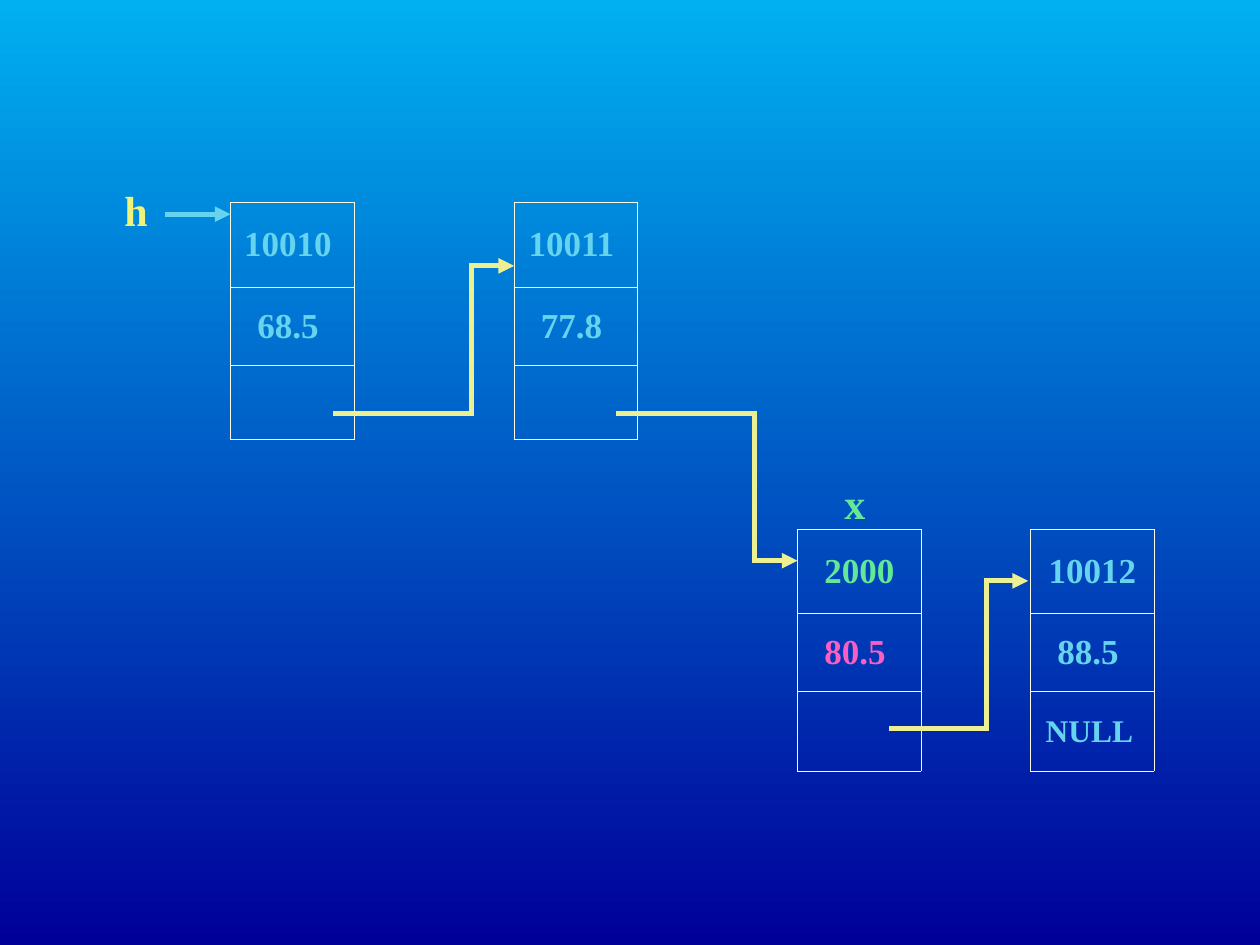
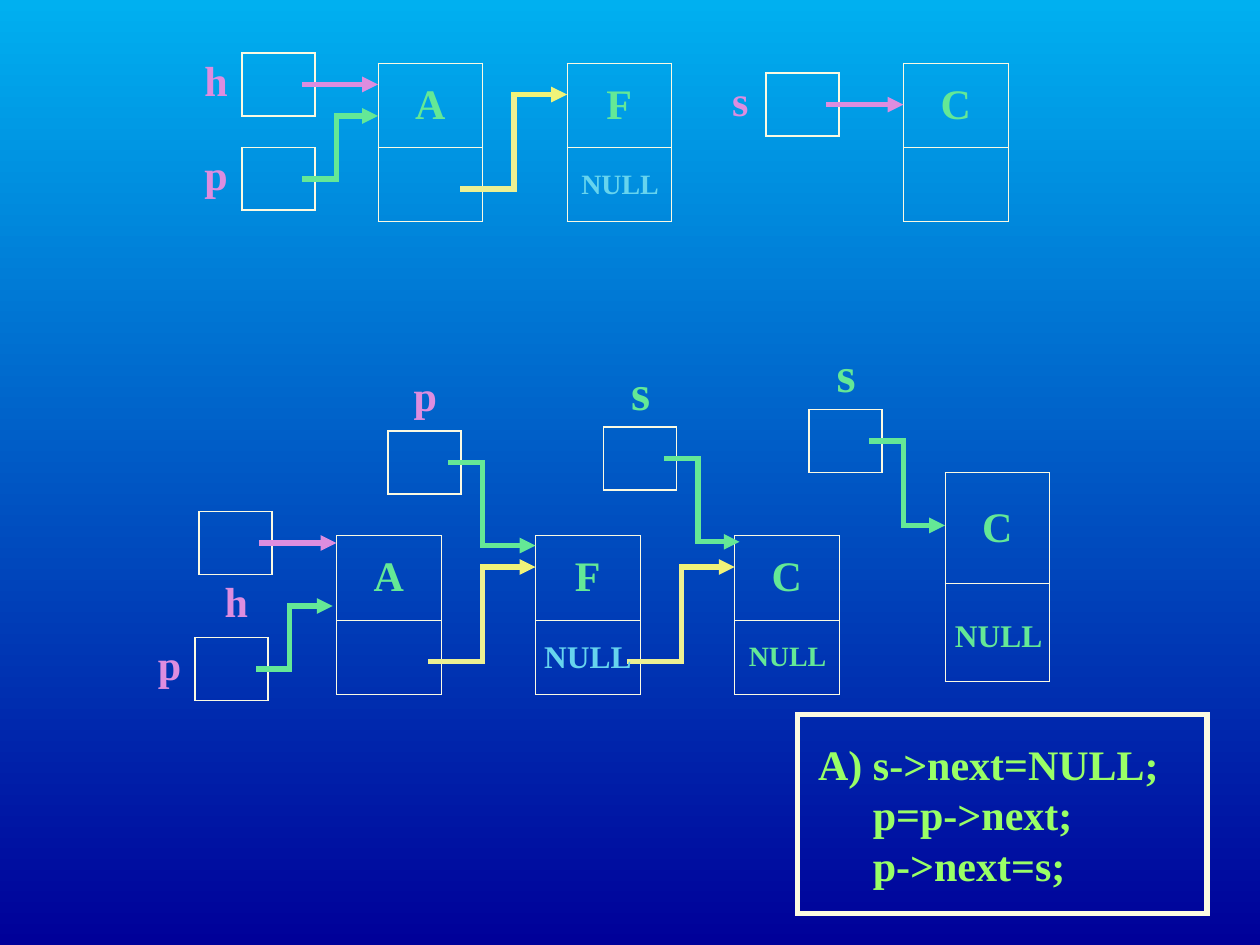
from itertools import pairwise

from lxml.etree import SubElement
from pptx import Presentation
from pptx.dml.color import RGBColor
from pptx.enum.shapes import MSO_CONNECTOR as CONNECTOR, MSO_SHAPE as SHAPE
from pptx.enum.text import MSO_ANCHOR as ANCHOR, PP_ALIGN as ALIGN
from pptx.oxml.ns import qn
from pptx.util import Inches, Pt

FONT = "Times New Roman"
CREAM, CYAN, GREEN, PINK = "FBFAE2", "66D4EE", "64E896", "DD8DDF"
YELLOW, BRIGHT_YELLOW, MAGENTA, LIME = "ECF092", "F0F379", "FA5EC2", "99FF66"
SKY, NAVY = "00B0F0", "000099"
BOX_WIDTH, BOX_HEIGHT = 0.58, 0.5
LABEL_OFFSETS = {"left": (-0.33, 0), "above": (0.17, -0.5), "below": (0.17, 0.5)}


def rgb(value):
    """Turn a hex string into a colour."""
    return RGBColor.from_string(value)


def write(frame, text, size=24, color=GREEN, align=ALIGN.CENTER):
    """Fill a text frame with bold lines of text."""
    frame.text = text
    for paragraph in frame.paragraphs:
        paragraph.alignment = align
        for run in paragraph.runs:
            run.font.name, run.font.size, run.font.bold = FONT, Pt(size), True
            run.font.color.rgb = rgb(color)


def add_label(slide, text, left, top, width=0.25, height=0.42, **style):
    """Add a centred label without margins."""
    frame = slide.shapes.add_textbox(
        Inches(left), Inches(top), Inches(width), Inches(height)).text_frame
    frame.margin_left = frame.margin_right = 0
    frame.margin_top = frame.margin_bottom = 0
    frame.word_wrap = True
    frame.vertical_anchor = ANCHOR.MIDDLE
    write(frame, text, **style)


def add_box(slide, left, top, width=BOX_WIDTH, height=BOX_HEIGHT, weight=1):
    """Add an unfilled rectangle with a sharp cream outline."""
    shape = slide.shapes.add_shape(
        SHAPE.RECTANGLE, Inches(left), Inches(top), Inches(width), Inches(height))
    shape.shadow.inherit = False
    shape.fill.background()
    shape.line.color.rgb = rgb(CREAM)
    shape.line.width = Pt(weight)
    SubElement(shape.line._get_or_add_ln(), qn("a:miter"), lim="800000")
    return shape


def add_segment(slide, start, end, color, arrow=False):
    """Draw one straight line, with an arrowhead at its end if asked."""
    connector = slide.shapes.add_connector(
        CONNECTOR.STRAIGHT, *(Inches(value) for value in (*start, *end)))
    connector.line.color.rgb = rgb(color)
    connector.line.width = Pt(3)
    line = connector.line._get_or_add_ln()
    line.set("cap", "sq")
    if arrow:
        SubElement(line, qn("a:tailEnd"), type="triangle")
    SubElement(connector._element.spPr, qn("a:effectLst"))


def add_elbow(slide, start, turn, tip, color, tip_color=None):
    """Draw an arrow that runs across, turns at one x and runs across again."""
    points = start, (turn, start[1]), (turn, tip[1])
    for begin, end in pairwise(points):
        add_segment(slide, begin, end, color)
    add_segment(slide, points[-1], tip, tip_color or color, arrow=True)


def add_link(slide, left, top):
    """Draw the arrow from one small node to the node on its right."""
    turn = left + 0.41
    add_elbow(slide, (left, top), turn, (turn + 0.42, top - 0.75),
              YELLOW, BRIGHT_YELLOW)


def add_pointer(slide, name, left, top, tip, side="left", size=24, color=PINK,
                arrow_color=GREEN):
    """Add a named pointer box and the arrow to its node."""
    add_box(slide, left, top)
    across, down = LABEL_OFFSETS[side]
    add_label(slide, name, left + across, top + down, size=size, color=color)
    start = left + 0.5, top + BOX_HEIGHT / 2
    if abs(start[1] - tip[1]) < 0.01:
        add_segment(slide, start, tip, arrow_color, arrow=True)
    else:
        add_elbow(slide, start, start[0] + 0.25, tip, arrow_color)


def add_border(cell):
    """Give a cell thin cream lines on all sides."""
    properties = cell._tc.get_or_add_tcPr()
    for side in ("lnL", "lnR", "lnT", "lnB"):
        line = SubElement(properties, qn(f"a:{side}"), w=str(Pt(0.45)))
        fill = SubElement(line, qn("a:solidFill"))
        SubElement(fill, qn("a:srgbClr"), val=CREAM)


def add_node(slide, left, top, width, heights, entries):
    """Add a list node as a one-column table of (text, size, colour) entries."""
    table = slide.shapes.add_table(
        len(heights), 1, Inches(left), Inches(top), Inches(width),
        Inches(sum(heights))).table
    table.first_row = table.horz_banding = False
    for index, height in enumerate(heights):
        table.rows[index].height = Inches(height)
        cell = table.cell(index, 0)
        add_border(cell)
        cell.fill.background()
        cell.vertical_anchor = ANCHOR.MIDDLE
        if index < len(entries):
            text, size, color = entries[index]
            write(cell.text_frame, text, size=size, color=color)


def add_letter_node(slide, letter, left, top, *entries, heights=(0.67, 0.59)):
    """Add a small node that holds a letter."""
    add_node(slide, left, top, 0.83, heights, [(letter, 24, GREEN), *entries])


def build_insertion(slide):
    """Draw the linked list of records with x inserted."""
    upper, lower = (0.67, 0.62, 0.59), (0.67, 0.62, 0.63)
    nodes = [
        (1.83, 1.61, upper, [("10010 ", 20, CYAN), ("68.5 ", 20, CYAN)]),
        (4.08, 1.61, upper, [("10011 ", 20, CYAN), ("77.8 ", 20, CYAN)]),
        (6.33, 4.2, lower, [("2000", 20, GREEN), ("80.5 ", 20, MAGENTA)]),
        (8.18, 4.2, lower, [("10012", 20, CYAN), ("88.5 ", 20, CYAN),
                            ("NULL ", 18, CYAN)]),
    ]
    for left, top, heights, entries in nodes:
        add_node(slide, left, top, 0.98, heights, entries)
    add_elbow(slide, (2.66, 3.28), 3.74, (4.08, 2.11), YELLOW)
    add_elbow(slide, (4.91, 3.28), 5.99, (6.33, 4.45), YELLOW)
    add_elbow(slide, (7.08, 5.78), 7.83, (8.16, 4.61), YELLOW)
    add_label(slide, "x", 6.66, 3.78)
    add_label(slide, " h ", 0.83, 1.45, width=0.5, color=BRIGHT_YELLOW)
    add_segment(slide, (1.33, 1.7), (1.83, 1.7), CYAN, arrow=True)


def build_append(slide):
    """Draw the list before and after node C is appended, with the code."""
    add_letter_node(slide, "A", 3, 0.5)
    add_letter_node(slide, "F", 4.5, 0.5, ("NULL ", 16, CYAN))
    add_letter_node(slide, "C", 7.17, 0.5)
    add_link(slide, 3.67, 1.5)
    add_pointer(slide, "h", 1.92, 0.42, (3, 0.67), arrow_color=PINK)
    add_pointer(slide, "p", 1.92, 1.17, (3, 0.92))
    add_pointer(slide, "s", 6.08, 0.58, (7.17, 0.83), arrow_color=PINK)

    add_letter_node(slide, "A", 2.67, 4.25)
    add_letter_node(slide, "F", 4.25, 4.25)
    add_letter_node(slide, "C", 5.83, 4.25, ("NULL ", 16, GREEN))
    add_letter_node(slide, "C", 7.5, 3.75, heights=(0.88, 0.78))
    add_label(slide, " NULL ", 7.42, 4.83, width=1, size=18)
    for left in (3.42, 5):
        add_link(slide, left, 5.25)
    add_label(slide, "NULL", 4.22, 5.01, width=0.89, height=0.4, size=18, color=CYAN)
    add_pointer(slide, "h", 1.58, 4.06, (2.67, 4.31), side="below", arrow_color=PINK)
    add_pointer(slide, "p", 1.55, 5.06, (2.64, 4.81))
    add_pointer(slide, "p", 3.08, 3.42, (4.25, 4.33), side="above")
    add_pointer(slide, "s", 4.79, 3.39, (5.87, 4.3), side="above", size=28, color=GREEN)
    add_pointer(slide, "s", 6.42, 3.25, (7.5, 4.17), side="above", size=28, color=GREEN)

    frame = add_box(slide, 6.33, 5.67, 3.25, 1.58, weight=3).text_frame
    frame.word_wrap = False
    frame.vertical_anchor = ANCHOR.MIDDLE
    write(frame, " A) s->next=NULL;\n      p=p->next;\n      p->next=s;",
          color=LIME, align=ALIGN.LEFT)


def set_background(master):
    """Give all slides a gradient from sky blue down to navy."""
    fill = master.background.fill
    fill.gradient()
    fill.gradient_angle = 270
    for stop, color in zip(fill.gradient_stops, (SKY, NAVY)):
        stop.color.rgb = rgb(color)


def main():
    """Build both slides and save them."""
    presentation = Presentation()
    presentation.slide_width, presentation.slide_height = Inches(10), Inches(7.5)
    set_background(presentation.slide_master)
    blank = presentation.slide_layouts.get_by_name("Blank")
    for build in (build_insertion, build_append):
        build(presentation.slides.add_slide(blank))
    presentation.save("out.pptx")


if __name__ == "__main__":
    main()
